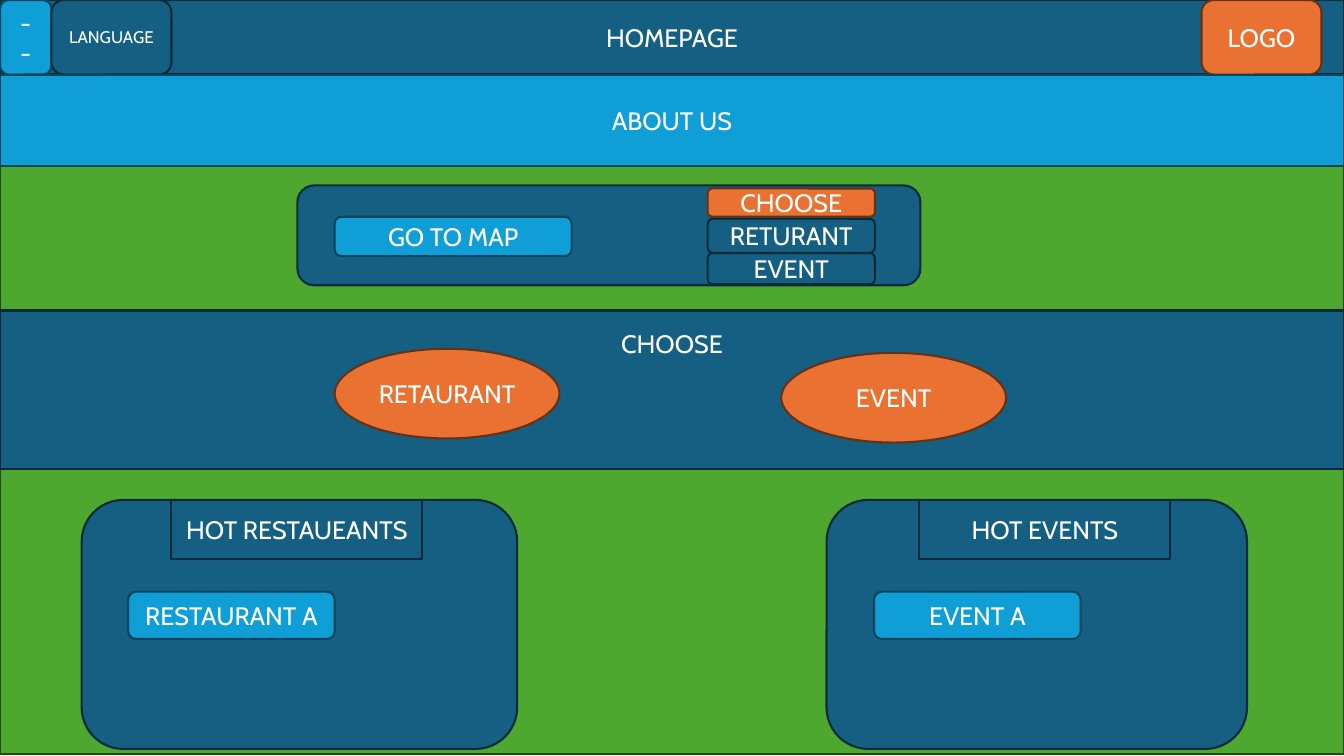
"""Build the homepage wireframe slide, with lengths in percent of the slide."""
import pptx
import pptx.util
import pptx.dml.color
import pptx.enum.shapes
import pptx.enum.text

WIDE, HIGH = 13.33, 7.5
NAVY = ("156082", "092A39")
SKY = ("0F9ED5", "07455D")
RUST = ("E97132", "663216")
GREEN = ("4EA72E", "224914")
KIND = pptx.enum.shapes.MSO_SHAPE
ANCHOR = pptx.enum.text.MSO_ANCHOR


def paint(code):
    return pptx.dml.color.RGBColor.from_string(code)


def across(share):
    return pptx.util.Inches(WIDE * share / 100)


def down(share):
    return pptx.util.Inches(HIGH * share / 100)


def write(shape, text, size=18, anchor=ANCHOR.MIDDLE, inset=0):
    frame = shape.text_frame
    frame.word_wrap = True
    frame.vertical_anchor = anchor
    frame.margin_top, frame.margin_bottom = down(inset), 0
    frame.text = text
    for para in frame.paragraphs:
        para.alignment = pptx.enum.text.PP_ALIGN.CENTER
        para.font.size = pptx.util.Pt(size)
        para.font.name = "Cabin"
        para.font.color.rgb = paint("FFFFFF")


def block(slide, kind, tone, left, top, width, height, text="", **style):
    shape = slide.shapes.add_shape(
        kind, across(left), down(top), across(width), down(height))
    fill, edge = tone
    shape.shadow.inherit = False
    shape.fill.solid()
    shape.fill.fore_color.rgb = paint(fill)
    shape.line.color.rgb = paint(edge)
    shape.line.width = pptx.util.Pt(1.5)
    if text:
        write(shape, text, **style)


def band(slide, tone, top, height, text="", **style):
    block(slide, KIND.RECTANGLE, tone, 0, top, 100, height, text, **style)


def button(slide, tone, left, top, width, height, text="", **style):
    block(slide, KIND.ROUNDED_RECTANGLE, tone, left, top, width, height,
          text, **style)


def card(slide, left, width, head, title, item, label):
    button(slide, NAVY, left, 66.13, width, 32.93)
    block(slide, KIND.RECTANGLE, NAVY, head, 66.13, 18.68, 7.87, title)
    button(slide, SKY, item, 78.27, 15.38, 6.27, label)


def main():
    deck = pptx.Presentation()
    deck.slide_width, deck.slide_height = across(100), down(100)
    slide = deck.slides.add_slide(deck.slide_layouts[6])

    band(slide, NAVY, 0, 9.87, "HOMEPAGE")
    button(slide, RUST, 89.4, 0, 8.93, 9.87, "LOGO")
    button(slide, SKY, 0, 0, 3.83, 9.87, "-\n-")
    button(slide, NAVY, 3.83, 0, 8.93, 9.87, "LANGUAGE", size=12)

    band(slide, GREEN, 21.73, 78)
    band(slide, SKY, 9.87, 12.13, "ABOUT US")
    band(slide, NAVY, 41.07, 20.93, "CHOOSE", anchor=ANCHOR.TOP, inset=2.4)
    for left, top, text in ((24.9, 46.13, "RETAURANT"), (58.13, 46.67, "EVENT")):
        block(slide, KIND.OVAL, RUST, left, top, 16.73, 11.87, text)

    card(slide, 6.08, 32.4, 12.75, "HOT RESTAUEANTS", 9.53, "RESTAURANT A")
    card(slide, 61.5, 31.28, 68.4, "HOT EVENTS", 65.03, "EVENT A")

    button(slide, NAVY, 22.13, 24.53, 46.35, 13.2)
    button(slide, SKY, 24.9, 28.67, 17.63, 5.2, "GO TO MAP")
    menu = ((NAVY, 33.47, 4.13, "EVENT"), (NAVY, 28.93, 4.53, "RETURANT"),
            (RUST, 24.93, 3.73, "CHOOSE"))
    for tone, top, height, text in menu:
        button(slide, tone, 52.65, top, 12.45, height, text)

    deck.save("out.pptx")


if __name__ == "__main__":
    main()
